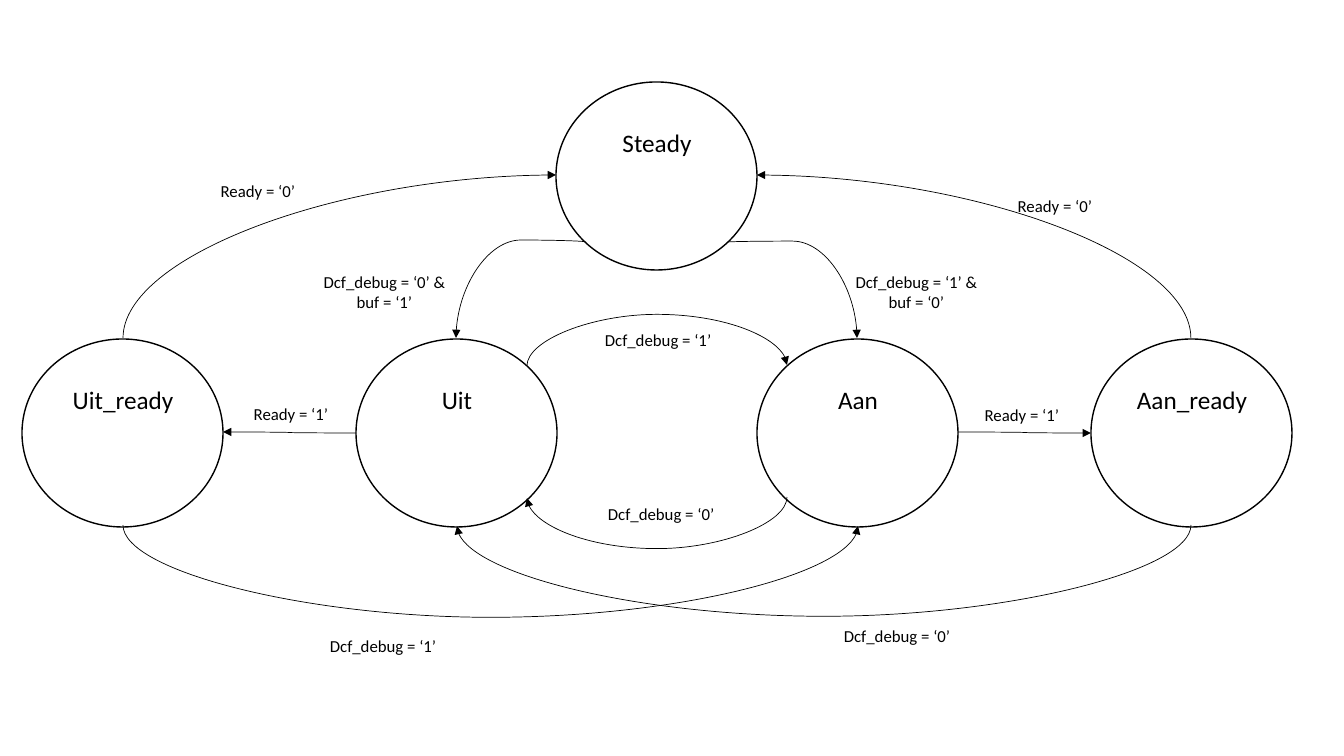
from lxml import etree
from pptx import Presentation
from pptx.dml.color import RGBColor
from pptx.enum.shapes import MSO_CONNECTOR, MSO_SHAPE
from pptx.enum.text import MSO_AUTO_SIZE, PP_ALIGN
from pptx.oxml.ns import qn
from pptx.util import Emu, Pt

OVAL = MSO_SHAPE.OVAL
CURVE = MSO_CONNECTOR.CURVE
GROW = MSO_AUTO_SIZE.SHAPE_TO_FIT_TEXT
LEFT, CENTER = PP_ALIGN.LEFT, PP_ALIGN.CENTER

BLACK = RGBColor(0, 0, 0)
FONT = "Calibri"
SCALE = 914400 / 100.8
STATE_W, STATE_H = 201, 188
ROW_TOP = 339
QUARTER_TURN = "5400000"

STATES = [
    ("Steady", 556, 82),
    ("Aan", 757, ROW_TOP),
    ("Aan_ready", 1091, ROW_TOP),
    ("Uit", 356, ROW_TOP),
    ("Uit_ready", 22, ROW_TOP),
]
BOWS = [
    ((728, 242), (857, 338), 241),
    ((586, 242), (456, 338), 240),
    ((787, 497), (527, 498), 549),
    ((1191, 525), (457, 526), 617),
    ((527, 366), (787, 365), 314),
    ((123, 525), (858, 526), 618),
]
CORNERS = [
    ((1191, 338), (757, 175)),
    ((123, 338), (556, 175)),
]
STRAIGHTS = [
    ((958, 432), (1091, 433)),
    ((356, 433), (223, 432)),
]
CONDITIONS = [
    ("Dcf_debug = ‘1’ & buf = ‘0’", 834, 267, 165, 50, CENTER),
    ("Dcf_debug = ‘0’ & buf = ‘1’", 302, 267, 165, 50, CENTER),
    ("Dcf_debug = ‘1’", 595, 325, 130, 30, LEFT),
    ("Dcf_debug = ‘0’", 598, 499, 130, 30, LEFT),
    ("Ready = ‘1’", 957, 400, 130, 30, CENTER),
    ("Ready = ‘1’", 226, 399, 130, 30, CENTER),
    ("Ready = ‘0’", 990, 191, 130, 30, CENTER),
    ("Ready = ‘0’", 193, 176, 130, 30, CENTER),
    ("Dcf_debug = ‘0’", 834, 621, 130, 30, LEFT),
    ("Dcf_debug = ‘1’", 320, 631, 130, 30, LEFT),
]


def px(*lengths):
    """Turn pixel lengths into EMU."""
    return [Emu(round(length * SCALE)) for length in lengths]


def add_label(shapes, text, left, top, width, height, align, size=12):
    """Add a wrapped text box."""
    label = shapes.add_textbox(*px(left, top, width, height))
    frame = label.text_frame
    frame.word_wrap = True
    frame.auto_size = GROW
    frame.text = text
    paragraph = frame.paragraphs[0]
    paragraph.alignment = align
    font = paragraph.runs[0].font
    font.name, font.size = FONT, Pt(size)
    font.color.rgb = BLACK


def add_state(shapes, name, left, top):
    """Add a state circle grouped with its name."""
    state = shapes.add_group_shape().shapes
    circle = state.add_shape(OVAL, *px(left, top, STATE_W, STATE_H))
    circle.shadow.inherit = False
    circle.fill.background()
    circle.line.color.rgb = BLACK
    circle.line.width = Pt(1)
    add_label(state, name, left + 34, top + 40, 134, 40, CENTER, 18)


def add_transition(shapes, start, end):
    """Add a thin curved arrow that leaves its start sideways."""
    arrow = shapes.add_connector(CURVE, *px(*start, *end))
    arrow.line.color.rgb = BLACK
    arrow.line.width = Pt(0.5)
    properties = arrow._element.spPr
    line = properties.find(qn("a:ln"))
    etree.SubElement(line, qn("a:tailEnd")).set("type", "triangle")
    etree.SubElement(properties, qn("a:effectLst"))
    return properties


def add_upright_transition(shapes, start, end):
    """Add a curved arrow turned a quarter so that it leaves vertically."""
    (x1, y1), (x2, y2) = start, end
    mid_x, mid_y = (x1 + x2) / 2, (y1 + y2) / 2
    half_w, half_h = (x2 - x1) / 2, (y2 - y1) / 2
    properties = add_transition(
        shapes, (mid_x - half_h, mid_y + half_w), (mid_x + half_h, mid_y - half_w))
    properties.find(qn("a:xfrm")).set("rot", QUARTER_TURN)
    return properties.find(qn("a:prstGeom"))


def add_bow(shapes, start, end, bend):
    """Add an upright transition whose middle lies at the height of bend."""
    geometry = add_upright_transition(shapes, start, end)
    share = (bend - start[1]) / (end[1] - start[1])
    guide = etree.SubElement(geometry.find(qn("a:avLst")), qn("a:gd"))
    guide.set("name", "adj1")
    guide.set("fmla", f"val {round(share * 100000)}")


def add_corner(shapes, start, end):
    """Add an upright transition that makes a single turn."""
    add_upright_transition(shapes, start, end).set("prst", "curvedConnector2")


def main():
    """Build the state diagram."""
    deck = Presentation()
    deck.slide_width, deck.slide_height = px(1344, 756)
    shapes = deck.slides.add_slide(deck.slide_layouts[6]).shapes
    for state in STATES:
        add_state(shapes, *state)
    for bow in BOWS:
        add_bow(shapes, *bow)
    for corner in CORNERS:
        add_corner(shapes, *corner)
    for straight in STRAIGHTS:
        add_transition(shapes, *straight)
    for condition in CONDITIONS:
        add_label(shapes, *condition)
    deck.save("out.pptx")


main()
